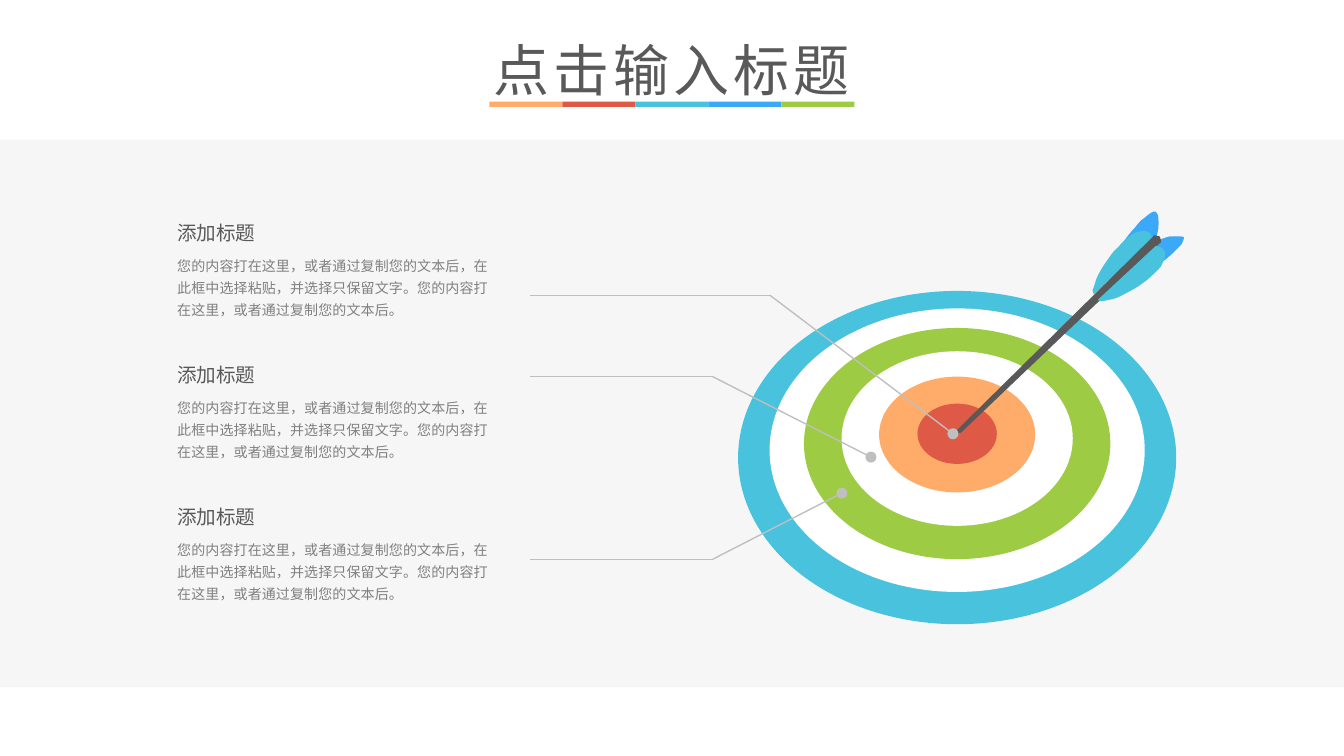
from dataclasses import dataclass

import pptx
import pptx.dml.color
import pptx.enum.shapes
import pptx.enum.text
import pptx.oxml
import pptx.oxml.ns
import pptx.util
from lxml import etree
from pptx.util import Cm


@dataclass(frozen=True)
class Theme:
    orange: str = "FFAC6A"
    red: str = "DF5947"
    cyan: str = "49C2DD"
    blue: str = "3BA9F8"
    green: str = "9DCB43"
    white: str = "FFFFFF"
    band: str = "F6F6F6"
    dark: str = "595959"
    gray: str = "808080"
    line: str = "BFBFBF"
    title_font: str = "Noto Sans CJK JP"
    text_font: str = "Noto Sans CJK SC"
    title_size: float = 30
    heading_size: float = 10.5
    body_size: float = 7.5


THEME = Theme()
SHAPE = pptx.enum.shapes.MSO_SHAPE
HEADING = "添加标题"
BODY = ("您的内容打在这里，或者通过复制您的文本后，在此框中选择粘贴，"
        "并选择只保留文字。您的内容打在这里，或者通过复制您的文本后。")

# Target rings, outermost first: top, width, height in cm
TARGET_CENTER = 18.09
RINGS = [
    (5.50, 8.28, 6.30, THEME.cyan),
    (5.83, 7.09, 5.36, THEME.white),
    (6.20, 5.79, 4.37, THEME.green),
    (6.64, 4.37, 3.30, THEME.white),
    (7.12, 2.95, 2.19, THEME.orange),
    (7.63, 1.50, 1.14, THEME.red),
]

# Arrow outlines in grid units; feathers are a start point, then Bézier triples
GRID = Cm(0.0254)
BLUE_FEATHERS = [
    [(861, 179), (864, 178), (867, 177), (870, 176), (873, 176), (876, 176),
     (878, 176), (880, 176), (881, 176), (881, 177), (881, 178), (880, 180),
     (879, 182), (877, 184), (875, 186), (872, 189), (869, 191), (869, 193),
     (861, 197), (854, 200), (841, 206), (827, 212)],
    [(824, 209), (828, 198), (832, 188), (835, 182), (838, 176), (840, 175),
     (842, 172), (845, 169), (847, 166), (849, 164), (852, 162), (855, 159),
     (857, 158), (859, 157), (861, 157), (861, 159), (862, 160), (862, 164),
     (862, 167), (862, 171), (861, 174), (860, 178)],
]
UPPER_FEATHER = [
    (857, 179), (857, 177), (857, 175), (856, 174), (855, 173), (854, 172),
    (852, 172), (850, 172), (846, 172), (843, 174), (840, 176), (835, 180),
    (832, 184), (828, 187), (826, 191), (823, 195), (820, 199), (818, 203),
    (816, 207), (815, 210), (814, 214), (813, 216), (813, 218), (814, 219),
    (814, 219)]
LOWER_FEATHER = [
    (860, 183), (862, 183), (864, 184), (865, 185), (866, 186), (867, 187),
    (867, 189), (867, 191), (866, 194), (864, 198), (862, 201), (857, 205),
    (854, 208), (850, 211), (846, 214), (842, 216), (838, 218), (833, 221),
    (830, 222), (826, 223), (822, 224), (820, 224), (818, 225), (818, 224),
    (817, 223)]
SHAFT = [(709, 323), (715, 322), (864, 180), (863, 176), (859, 175)]

# Callouts in cm: dot position, elbow position
CALLOUT_END = 10.01
CALLOUTS = [
    ((18.01, 8.20), (14.55, 5.58)),
    ((16.46, 8.64), (13.47, 7.12)),
    ((15.91, 9.32), (13.47, 10.57)),
]


def rgb(color):
    return pptx.dml.color.RGBColor.from_string(color)


def paint(shape, color):
    shape.shadow.inherit = False
    shape.fill.solid()
    shape.fill.fore_color.rgb = rgb(color)
    shape.line.fill.background()


def add_block(slide, kind, left, top, width, height, color):
    shape = slide.shapes.add_shape(kind, Cm(left), Cm(top), Cm(width), Cm(height))
    paint(shape, color)


def add_outline(slide, points, color):
    start, *others = [(x * GRID, y * GRID) for x, y in points]
    builder = slide.shapes.build_freeform(*start)
    builder.add_line_segments(others + [start], close=True)
    shape = builder.convert_to_shape()
    paint(shape, color)
    return shape


def add_feather(slide, points, color):
    """Draw an outline whose points, taken in threes, are Bézier curves."""
    shape = add_outline(slide, points, color)
    qn = pptx.oxml.ns.qn
    segments = list(shape._element.iter(qn("a:lnTo")))[:len(points) - 1]
    for first in range(0, len(segments), 3):
        triple = segments[first:first + 3]
        curve = etree.Element(qn("a:cubicBezTo"))
        triple[0].addprevious(curve)
        for segment in triple:
            curve.append(segment[0])
            segment.getparent().remove(segment)


def add_line(slide, start, end, dot=False):
    line = slide.shapes.add_connector(
        pptx.enum.shapes.MSO_CONNECTOR.STRAIGHT, *map(Cm, start + end))
    line.line.color.rgb = rgb(THEME.line)
    line.line.width = pptx.util.Pt(0.75)
    properties = line._element.spPr
    if dot:
        head = pptx.oxml.parse_xml(f'<a:headEnd {pptx.oxml.ns.nsdecls("a")} type="oval"/>')
        properties.find(pptx.oxml.ns.qn("a:ln")).append(head)
    properties.append(pptx.oxml.parse_xml(f'<a:effectLst {pptx.oxml.ns.nsdecls("a")}/>'))


def write_text(box, text, *, size, color, font, pitch, align="LEFT",
               wrap=True, tracking=0, inset=0.13, right=0.25):
    frame = box.text_frame
    frame.word_wrap = wrap
    frame.auto_size = pptx.enum.text.MSO_AUTO_SIZE.NONE
    frame.vertical_anchor = pptx.enum.text.MSO_ANCHOR.TOP
    frame.margin_left, frame.margin_right = Cm(0.25), Cm(right)
    frame.margin_top = frame.margin_bottom = Cm(inset)
    para = frame.paragraphs[0]
    para.alignment = pptx.enum.text.PP_ALIGN[align]
    para.line_spacing = pptx.util.Pt(pitch)
    para.space_before = pptx.util.Pt(0)
    span = para.add_run()
    span.text = text
    span.font.size = pptx.util.Pt(size)
    span.font.color.rgb = rgb(color)
    span.font.name = font
    properties = span._r.get_or_add_rPr()
    if tracking:
        properties.set("spc", str(round(tracking * 100)))
    properties.append(pptx.oxml.parse_xml(
        f'<a:ea {pptx.oxml.ns.nsdecls("a")} typeface="{font}"/>'))


def add_title(slide, text):
    title = slide.shapes.title
    title.left, title.top, title.width, title.height = map(Cm, (8.99, 0.53, 7.42, 1.55))
    write_text(title, text, size=THEME.title_size, color=THEME.dark,
               font=THEME.title_font, pitch=36.3, align="CENTER", wrap=False, tracking=2.2)


def add_entry(slide, top):
    heading = slide.shapes.add_textbox(Cm(3.1), Cm(top), Cm(2.11), Cm(0.69))
    write_text(heading, HEADING, size=THEME.heading_size, color=THEME.dark,
               font=THEME.text_font, pitch=19.5, inset=0)
    body = slide.shapes.add_textbox(Cm(3.1), Cm(top + 0.71), Cm(6.63), Cm(1.5))
    write_text(body, BODY, size=THEME.body_size, color=THEME.gray,
               font=THEME.text_font, pitch=11.75, right=0.32)


def main():
    deck = pptx.Presentation()
    deck.slide_width, deck.slide_height = Cm(25.4), Cm(14.29)
    slide = deck.slides.add_slide(deck.slide_layouts[5])

    # Title, colour strip and background band
    strip = (THEME.orange, THEME.red, THEME.cyan, THEME.blue, THEME.green)
    for index, color in enumerate(strip):
        add_block(slide, SHAPE.RECTANGLE, 9.25 + 1.38 * index, 1.92, 1.38, 0.1, color)
    add_block(slide, SHAPE.RECTANGLE, 0, 2.64, 25.4, 10.35, THEME.band)
    add_title(slide, "点击输入标题")

    # Target
    for top, width, height, color in RINGS:
        add_block(slide, SHAPE.OVAL, TARGET_CENTER - width / 2, top, width, height, color)

    # Arrow
    for feather in BLUE_FEATHERS:
        add_feather(slide, feather, THEME.blue)
    add_feather(slide, UPPER_FEATHER, THEME.cyan)
    add_outline(slide, SHAFT, THEME.dark)
    add_feather(slide, LOWER_FEATHER, THEME.cyan)

    # Callouts
    for dot, elbow in CALLOUTS:
        add_line(slide, dot, elbow, dot=True)
        add_line(slide, elbow, (CALLOUT_END, elbow[1]))

    # Text entries
    for index in range(3):
        add_entry(slide, 3.94 + 2.68 * index)

    deck.save("out.pptx")


if __name__ == "__main__":
    main()
